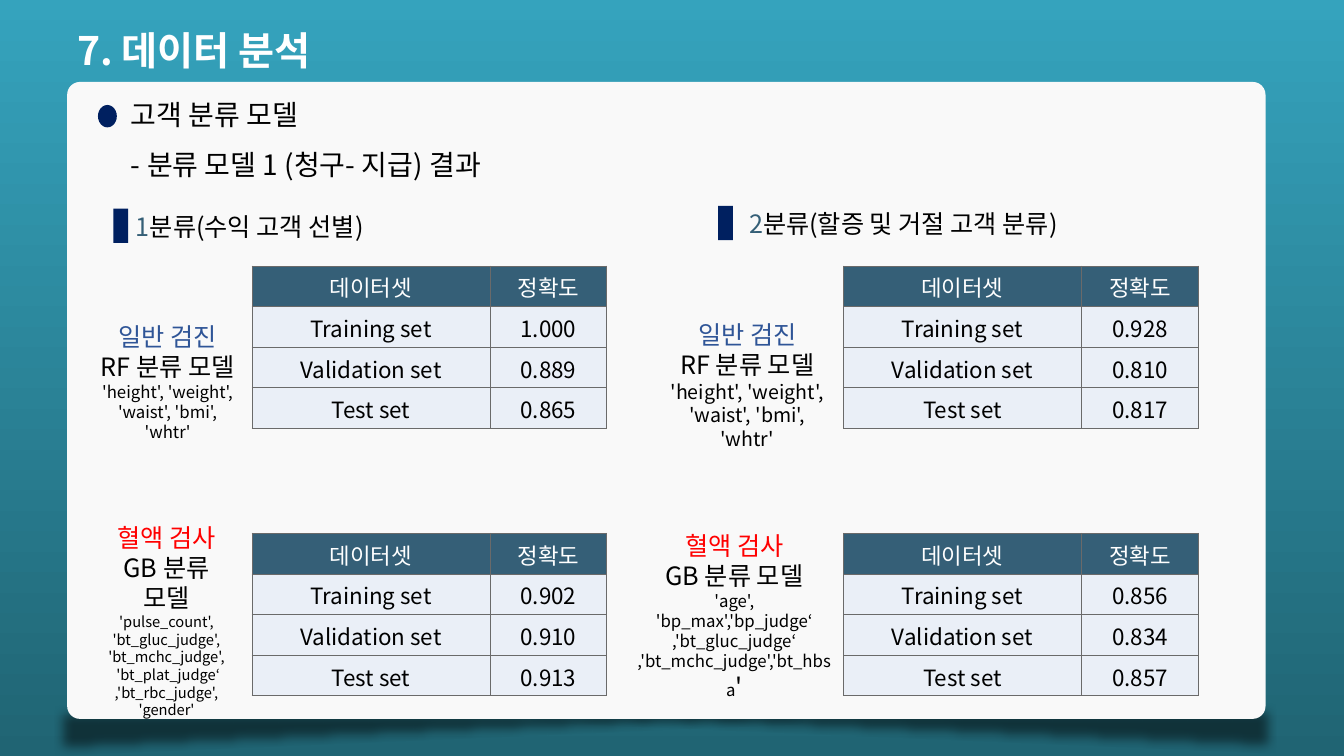
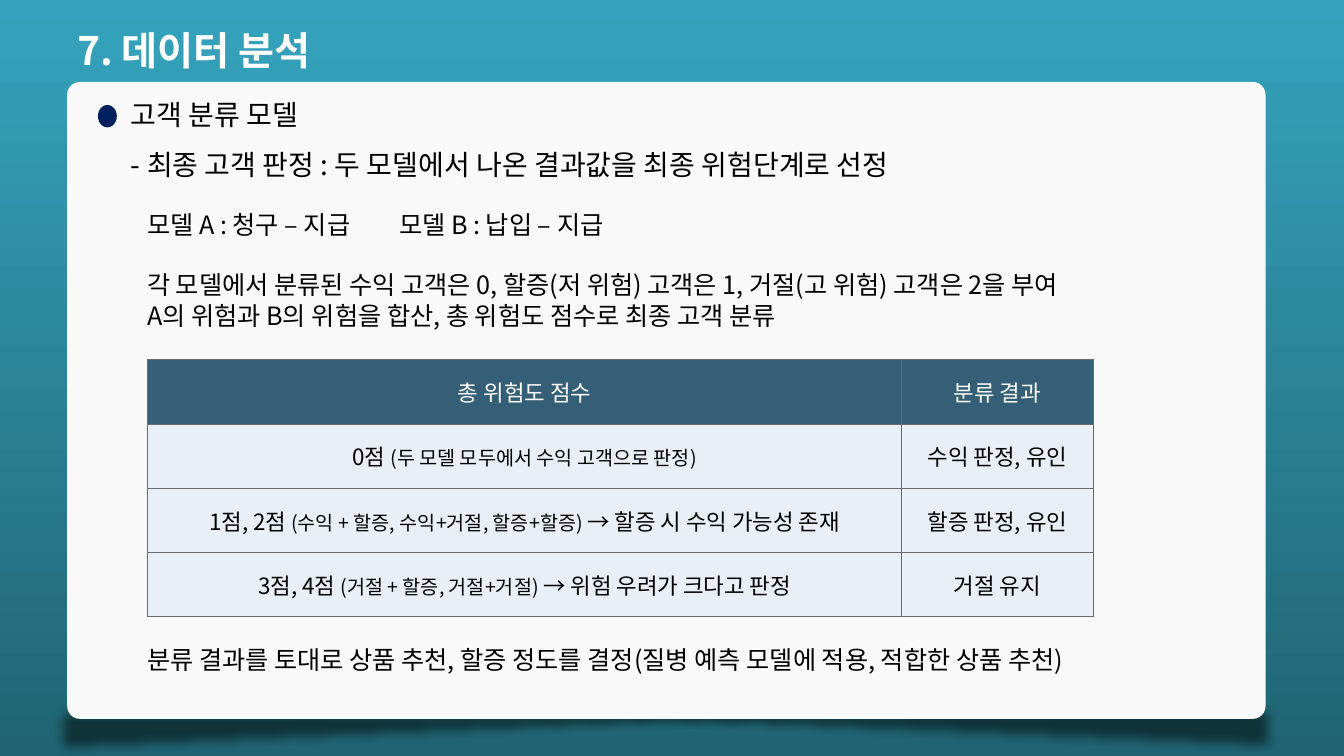
from lxml import etree
from pptx import Presentation
from pptx.dml.color import RGBColor
from pptx.enum import shapes, text
from pptx.oxml import parse_xml
from pptx.oxml.ns import nsdecls, qn
from pptx.util import Pt

FONT = "Noto Sans CJK KR"
BLACK, WHITE, NAVY, TEAL = "000000", "FFFFFF", "002060", "355F77"
BLUE, RED, ROW_FILL, BORDER = "2F5597", "FF0000", "EAEFF7", "6A6A6A"
LEFT, CENTER = text.PP_ALIGN.LEFT, text.PP_ALIGN.CENTER


def write(paragraph, content, size, color=BLACK, align=LEFT, bold=False):
    """Fill a paragraph with a string, or with (text, size, colour) runs."""
    paragraph.alignment = align
    paragraph.font.name = FONT
    paragraph.font.size = Pt(size)
    paragraph.font.bold = bold
    paragraph.font.color.rgb = RGBColor.from_string(color)
    runs = [(content, size, color)] if isinstance(content, str) else content
    for run_text, run_size, run_color in runs:
        run = paragraph.add_run()
        run.text = run_text
        if run_size != size:
            run.font.size = Pt(run_size)
        if run_color != color:
            run.font.color.rgb = RGBColor.from_string(run_color)


def add_block(slide, kind, left, top, width, height, color):
    """Add a plain filled shape without line or shadow."""
    shape = slide.shapes.add_shape(kind, Pt(left), Pt(top), Pt(width), Pt(height))
    shape.shadow.inherit = False
    shape.fill.solid()
    shape.fill.fore_color.rgb = RGBColor.from_string(color)
    shape.line.fill.background()
    return shape


presentation = Presentation()
presentation.slide_width, presentation.slide_height = Pt(960), Pt(540)

# Shared layout: gradient, white panel with its soft shadow, title position
layout = presentation.slide_layouts.get_by_name("Title Only")
for placeholder in list(layout.placeholders):
    if placeholder.placeholder_format.type != shapes.PP_PLACEHOLDER.TITLE:
        placeholder.element.getparent().remove(placeholder.element)
title = layout.placeholders[0]
title.left, title.top, title.width, title.height = Pt(48), Pt(15), Pt(541), Pt(41)

background = layout.background.fill
background.gradient()
background.gradient_angle = 270
for stop, color in zip(background.gradient_stops, ("35A3BD", "206473")):
    stop.color.rgb = RGBColor.from_string(color)

result_slide, decision_slide = [presentation.slides.add_slide(layout) for _ in range(2)]

panel_parts = []
for left, top, flips in ((47, 502.5, ("flipH", "flipV")), (39, 504, ("flipV",))):
    shadow = add_block(result_slide, shapes.MSO_SHAPE.RIGHT_TRIANGLE, left, top, 865, 36, BLACK)
    for flip in flips:
        shadow.element.spPr.xfrm.set(flip, "1")
    color_element = shadow.element.spPr.find(".//" + qn("a:srgbClr"))
    etree.SubElement(color_element, qn("a:alpha"), val="51000")
    effects = shadow.element.spPr.find(qn("a:effectLst"))
    etree.SubElement(effects, qn("a:softEdge"), rad=str(Pt(7)))
    panel_parts.append(shadow)
panel = add_block(result_slide, shapes.MSO_SHAPE.ROUNDED_RECTANGLE, 48, 58.5, 856, 455, "F9F9F9")
panel.adjustments[0] = 0.02
panel_parts.append(panel)
for index, part in enumerate(panel_parts, start=2):
    layout.shapes.element.insert(index, part.element)

# Text boxes: slide, (left, top, width, height), alignment, paragraphs
text_boxes = []
for slide, subtitle in (
    (result_slide, "- 분류 모델 1 (청구- 지급) 결과"),
    (decision_slide, "- 최종 고객 판정 : 두 모델에서 나온 결과값을 최종 위험단계로 선정"),
):
    title = slide.shapes.title
    title.text_frame.vertical_anchor = text.MSO_ANCHOR.MIDDLE
    write(title.text_frame.paragraphs[0], "7. 데이터 분석", 28, WHITE, bold=True)
    add_block(slide, shapes.MSO_SHAPE.OVAL, 70, 75, 13.5, 16, NAVY)
    text_boxes += [
        (slide, (86.5, 66, 257, 32), LEFT, [("고객 분류 모델", 20, BLACK)]),
        (slide, (86.5, 101.5, 620, 32), LEFT, [(subtitle, 20, BLACK)]),
    ]

for marker_left, marker_top, box, number, label in (
    (81, 149, (90, 147.5, 179, 29), "1", "분류(수익 고객 선별)"),
    (513, 147, (528, 145, 238, 29), "2", "분류(할증 및 거절 고객 분류)"),
):
    add_block(result_slide, shapes.MSO_SHAPE.RECTANGLE, marker_left, marker_top, 10.5, 24.5, NAVY)
    runs = [(number, 18, TEAL), (label, 18, BLACK)]
    text_boxes.append((result_slide, box, LEFT, [(runs, 18, BLACK)]))

body_features = ["'height', 'weight',", "'waist', 'bmi', 'whtr'"]
blood_features = ["'pulse_count',", "'bt_gluc_judge',", "'bt_mchc_judge',",
                  " 'bt_plat_judge‘", ",'bt_rbc_judge',", "'gender'"]
risk_features = ["'age', 'bp_max','bp_judge‘", ",'bt_gluc_judge‘",
                 [(",'bt_mchc_judge','bt_hbsa", 12, BLACK), ("'", 18, BLACK)]]
for box, exam, color, model, features, size in (
    ((60, 226, 119.5, 80), "일반 검진", BLUE, "RF 분류 모델", body_features, 12),
    ((465, 224.5, 137.5, 106.5), "일반 검진", BLUE, "RF 분류 모델", body_features, 14),
    ((63.5, 369.5, 111, 127.5), "혈액 검사", RED, "GB 분류 모델", blood_features, 10.5),
    ((446.5, 375, 156, 101.5), "혈액 검사", RED, "GB 분류 모델", risk_features, 12),
):
    lines = [(exam, 18, color), (model, 18, BLACK)]
    lines += [(feature, size, BLACK) for feature in features]
    text_boxes.append((result_slide, box, CENTER, lines))

text_boxes += [
    (decision_slide, (98, 146, 749.5, 94.5), LEFT, [
        ("모델 A : 청구 – 지급\t모델 B : 납입 – 지급", 18, BLACK),
        ("각 모델에서 분류된 수익 고객은 0, 할증(저 위험) 고객은 1, 거절(고 위험) 고객은 2을 부여", 18, BLACK),
        ("A의 위험과 B의 위험을 합산, 총 위험도 점수로 최종 고객 분류", 18, BLACK),
    ]),
    (decision_slide, (98, 456.5, 722, 29), LEFT, [
        ("분류 결과를 토대로 상품 추천, 할증 정도를 결정(질병 예측 모델에 적용, 적합한 상품 추천)", 18, BLACK),
    ]),
]

for slide, box, align, lines in text_boxes:
    frame = slide.shapes.add_textbox(*map(Pt, box)).text_frame
    frame.word_wrap = True
    for index, (content, size, color) in enumerate(lines):
        paragraph = frame.add_paragraph() if index else frame.paragraphs[0]
        write(paragraph, content, size, color, align)
        if "\t" in lines[0][0] and index == 1:
            paragraph.space_before = Pt(21.5)

# Tables: slide, left, top, column widths, row height, rows
tables = []
for left, top, scores in (
    (180, 190, ("1.000", "0.889", "0.865")),
    (602.5, 190, ("0.928", "0.810", "0.817")),
    (180, 381, ("0.902", "0.910", "0.913")),
    (602.5, 381, ("0.856", "0.834", "0.857")),
):
    data_sets = ("Training set", "Validation set", "Test set")
    rows = [("데이터셋", "정확도"), *zip(data_sets, scores)]
    tables.append((result_slide, left, top, (170, 83.5), 29, rows))

decision_rows = [("총 위험도 점수", "분류 결과")]
for points, cases, remark, decision in (
    ("0점 ", "(두 모델 모두에서 수익 고객으로 판정)", "", "수익 판정, 유인"),
    ("1점, 2점 ", "(수익 + 할증, 수익+거절, 할증+할증) ", "→ 할증 시 수익 가능성 존재", "할증 판정, 유인"),
    ("3점, 4점 ", "(거절 + 할증, 거절+거절) ", "→ 위험 우려가 크다고 판정", "거절 유지"),
):
    runs = [(points, 16, BLACK), (cases, 14, BLACK)]
    if remark:
        runs.append((remark, 16, BLACK))
    decision_rows.append((runs, decision))
tables.append((decision_slide, 105.5, 257, (538.5, 137), 45.9, decision_rows))

for slide, left, top, widths, row_height, rows in tables:
    table = slide.shapes.add_table(
        len(rows), len(widths), Pt(left), Pt(top), Pt(sum(widths)), Pt(row_height * len(rows))
    ).table
    table.first_row = table.horz_banding = False
    for column, width in zip(table.columns, widths):
        column.width = Pt(width)
    for row_index, row in enumerate(rows):
        table.rows[row_index].height = Pt(row_height)
        for column_index, content in enumerate(row):
            cell = table.cell(row_index, column_index)
            cell.vertical_anchor = text.MSO_ANCHOR.MIDDLE
            for side in ("lnL", "lnR", "lnT", "lnB"):
                cell._tc.get_or_add_tcPr().append(parse_xml(
                    f'<a:{side} {nsdecls("a")} w="{Pt(0.75)}"><a:solidFill>'
                    f'<a:srgbClr val="{BORDER}"/></a:solidFill></a:{side}>'
                ))
            cell.fill.solid()
            cell.fill.fore_color.rgb = RGBColor.from_string(ROW_FILL if row_index else TEAL)
            write(cell.text_frame.paragraphs[0], content, 16, BLACK if row_index else WHITE, CENTER)

# Korean characters take the East Asian font
for slide in presentation.slides:
    for latin in list(slide.element.iter(qn("a:latin"))):
        latin.addnext(latin.makeelement(qn("a:ea"), {"typeface": FONT}))

presentation.save("out.pptx")
